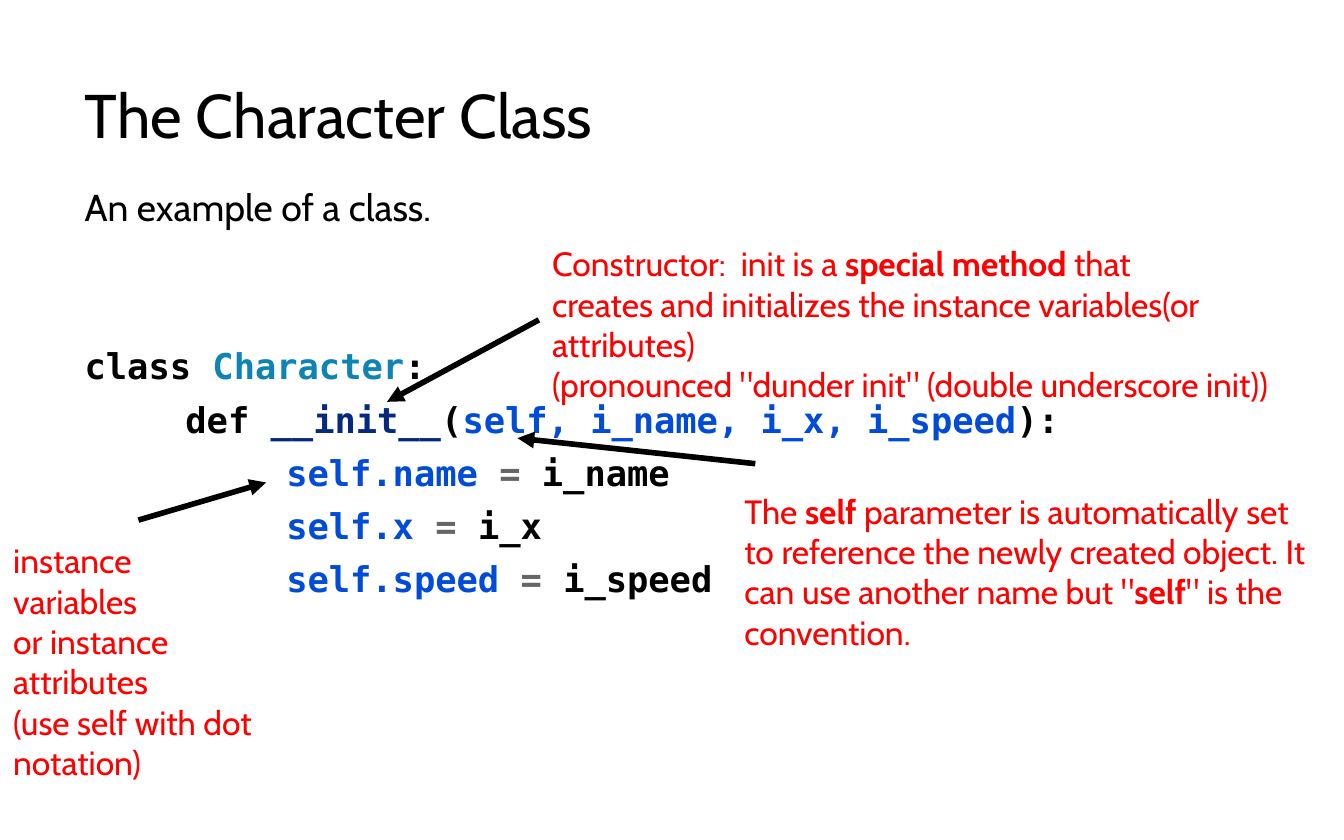
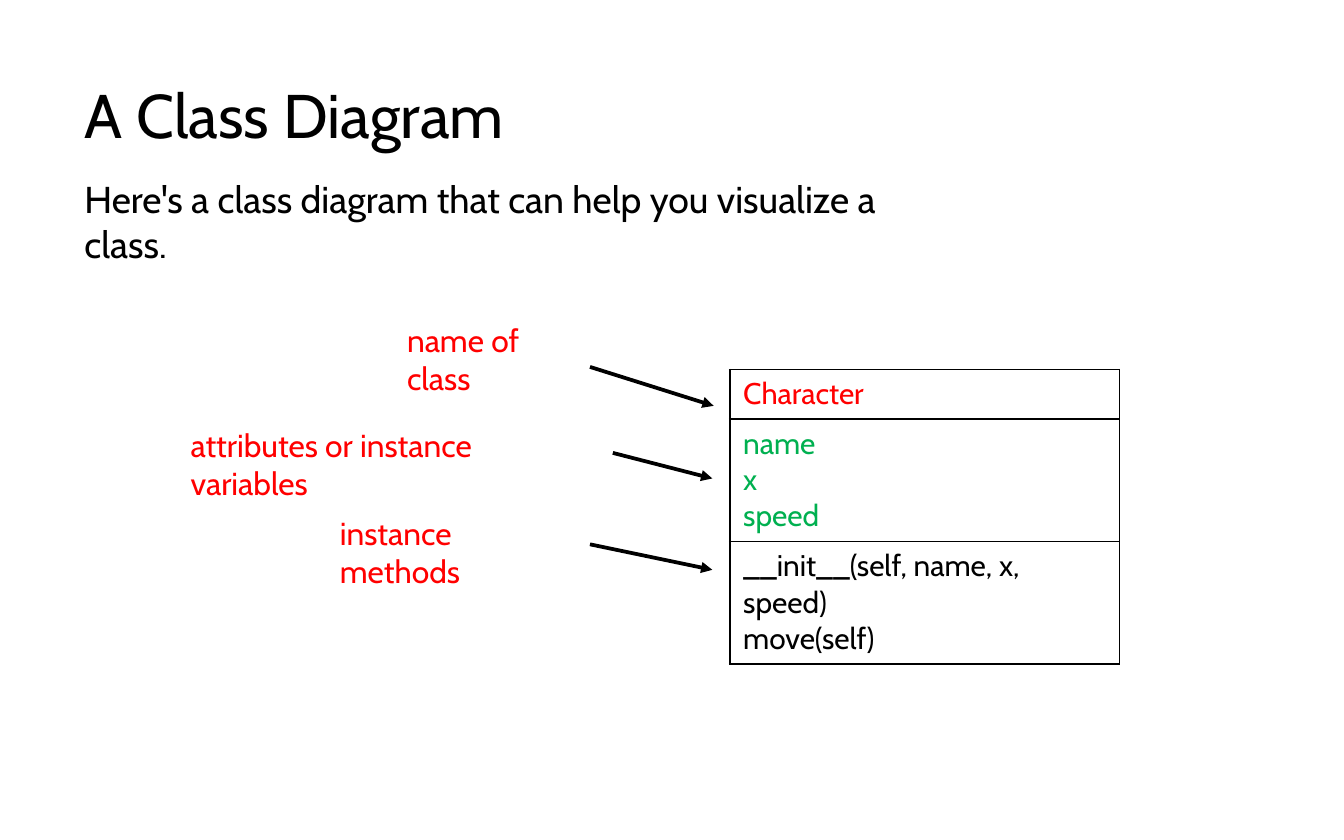
import dataclasses

import lxml.etree
import pptx
import pptx.dml.color
import pptx.enum.shapes
import pptx.enum.text
import pptx.oxml.ns
import pptx.util

# Shared style
COLORS = {
    "text": "000000",
    "note": "FF0000",
    "class_name": "0E84B5",
    "method": "06287E",
    "variable": "004BD7",
    "operator": "666666",
    "attribute": "00B050",
    "paper": "FFFFFF",
}
FONT = "Cabin"
CODE_FONT = "DejaVu Sans Mono"
SLIDE_WIDTH = pptx.util.Inches(10)
SLIDE_HEIGHT = pptx.util.Inches(6.25)
TITLE_AND_BODY, TITLE_ONLY = 1, 5
LINE_SPACING = 0.9
CODE_INDENT = 7.5


@dataclasses.dataclass(frozen=True)
class Area:
    """Left and width in % of the slide's width, top and height in % of its height."""
    left: float
    top: float
    width: float
    height: float


@dataclasses.dataclass(frozen=True)
class Span:
    text: str
    color: str = "text"
    bold: bool = False


@dataclasses.dataclass(frozen=True)
class Note:
    area: Area
    lines: list[list[Span]]


@dataclasses.dataclass(frozen=True)
class Arrow:
    start: tuple[float, float]
    end: tuple[float, float]


@dataclasses.dataclass(frozen=True)
class CodeLine:
    level: int
    spans: list[Span]


@dataclasses.dataclass(frozen=True)
class Compartment:
    height: float
    lines: list[str]
    color: str


def across(percent: float) -> int:
    return round(SLIDE_WIDTH * percent / 100)


def down(percent: float) -> int:
    return round(SLIDE_HEIGHT * percent / 100)


def frame(area: Area) -> tuple[int, int, int, int]:
    return across(area.left), down(area.top), across(area.width), down(area.height)


def rgb(name: str) -> pptx.dml.color.RGBColor:
    return pptx.dml.color.RGBColor.from_string(COLORS[name])


def red(text: str, bold: bool = False) -> Span:
    return Span(text, "note", bold)


def code(text: str, color: str = "text") -> Span:
    return Span(text, color, True)


# Content
TITLE_AREA = Area(5.3, 8.16, 77.1, 12)
BODY_AREA = Area(5.3, 21.76, 88.1, 72.8)
INTRO_AREA = Area(5.3, 20.16, 66.4, 7.04)

CODE_LINES = [
    CodeLine(0, [code("class "), code("Character", "class_name"), code(":")]),
    CodeLine(1, [code("def "), code("__init__", "method"), code("("),
                 code("self, i_name, i_x, i_speed", "variable"), code("):")]),
] + [
    CodeLine(2, [code(f"self.{name} ", "variable"), code("= ", "operator"), code(f"i_{name}")])
    for name in ("name", "x", "speed")
]

CODE_NOTES = [
    Note(Area(40.1, 28.16, 60.7, 16.16), [
        [red("Constructor:  init is a "), red("special method ", True), red("that")],
        [red("creates and initializes the instance variables(or attributes)")],
        [red('(pronounced "dunder init" (double underscore init))')],
    ]),
    Note(Area(0, 63.52, 19.8, 25.92), [
        [red("instance variables")],
        [red("or instance attributes")],
        [red("(use self with dot notation)")],
    ]),
    Note(Area(54.4, 57.6, 46.4, 20.96), [
        [red("The "), red("self ", True), red("parameter is automatically set")],
        [red('to reference the newly created object. It can use another name but "'),
         red("self", True), red('" is the convention.')],
    ]),
]
CODE_ARROWS = [
    Arrow((40.1, 38.08), (28.8, 47.84)),
    Arrow((10.3, 61.92), (19.8, 57.44)),
    Arrow((56.2, 55.2), (38.5, 52.16)),
]

DIAGRAM_AREA = Area(54.3, 44, 29, 35.04)
COMPARTMENTS = [
    Compartment(5.92, ["Character"], "note"),
    Compartment(14.56, ["name", "x", "speed"], "attribute"),
    Compartment(14.56, ["__init__(self, name, x, speed)", "move(self)"], "text"),
]
DIAGRAM_NOTES = [
    Note(Area(29.3, 37.44, 14.9, 6.24), [[red("name of class")]]),
    Note(Area(13.2, 49.92, 31.7, 6.24), [[red("attributes or instance variables")]]),
    Note(Area(24.3, 60.32, 18.9, 6.24), [[red("instance methods")]]),
]
DIAGRAM_ARROWS = [
    Arrow((43.9, 43.68), (53.1, 48.32)),
    Arrow((45.6, 53.92), (53, 56.96)),
    Arrow((43.9, 64.8), (53, 67.84)),
]


# Drawing helpers
def write_spans(paragraph, spans: list[Span], size: float, font: str = FONT) -> None:
    for span in spans:
        run = paragraph.add_run()
        run.text = span.text
        run.font.name = font
        run.font.size = pptx.util.Pt(size)
        run.font.bold = span.bold
        run.font.color.rgb = rgb(span.color)


def write_lines(text_frame, lines: list[list[Span]], size: float) -> None:
    for index, spans in enumerate(lines):
        paragraph = text_frame.add_paragraph() if index else text_frame.paragraphs[0]
        write_spans(paragraph, spans, size)


def place(shape, area: Area) -> None:
    shape.left, shape.top, shape.width, shape.height = frame(area)


def format_body_paragraph(paragraph, space_before: float, level: int = 0) -> None:
    paragraph.line_spacing = LINE_SPACING
    paragraph.space_before = pptx.util.Pt(space_before)
    properties = paragraph._p.get_or_add_pPr()
    properties.set("marL", str(across(CODE_INDENT * level)))
    properties.set("indent", "0")
    lxml.etree.SubElement(properties, pptx.oxml.ns.qn("a:buNone"))


def add_titled_slide(presentation, layout: int, title: str):
    slide = presentation.slides.add_slide(presentation.slide_layouts[layout])
    slide.background.fill.solid()
    slide.background.fill.fore_color.rgb = rgb("paper")
    shape = slide.shapes.title
    place(shape, TITLE_AREA)
    text_frame = shape.text_frame
    text_frame.auto_size = pptx.enum.text.MSO_AUTO_SIZE.NONE
    text_frame.vertical_anchor = pptx.enum.text.MSO_ANCHOR.MIDDLE
    paragraph = text_frame.paragraphs[0]
    paragraph.alignment = pptx.enum.text.PP_ALIGN.LEFT
    paragraph.line_spacing = LINE_SPACING
    write_spans(paragraph, [Span(title)], 33)
    return slide


def add_note(slide, note: Note, size: float) -> None:
    text_frame = slide.shapes.add_textbox(*frame(note.area)).text_frame
    text_frame.word_wrap = True
    text_frame.auto_size = pptx.enum.text.MSO_AUTO_SIZE.SHAPE_TO_FIT_TEXT
    write_lines(text_frame, note.lines, size)


def add_arrow(slide, arrow: Arrow, weight: float) -> None:
    connector = slide.shapes.add_connector(
        pptx.enum.shapes.MSO_CONNECTOR.STRAIGHT,
        across(arrow.start[0]), down(arrow.start[1]),
        across(arrow.end[0]), down(arrow.end[1]))
    connector.line.color.rgb = rgb("text")
    connector.line.width = pptx.util.Pt(weight)
    properties = connector._element.spPr
    line = properties.find(pptx.oxml.ns.qn("a:ln"))
    lxml.etree.SubElement(line, pptx.oxml.ns.qn("a:tailEnd"), type="triangle")
    lxml.etree.SubElement(properties, pptx.oxml.ns.qn("a:effectLst"))


def add_cell_borders(cell) -> None:
    properties = cell._tc.get_or_add_tcPr()
    for side in ("lnL", "lnR", "lnT", "lnB"):
        line = lxml.etree.SubElement(
            properties, pptx.oxml.ns.qn(f"a:{side}"), w=str(pptx.util.Pt(1)))
        fill = lxml.etree.SubElement(line, pptx.oxml.ns.qn("a:solidFill"))
        lxml.etree.SubElement(fill, pptx.oxml.ns.qn("a:srgbClr"), val=COLORS["text"])


def add_class_diagram(slide) -> None:
    table = slide.shapes.add_table(len(COMPARTMENTS), 1, *frame(DIAGRAM_AREA)).table
    table.first_row = False
    table.horz_banding = False
    for row, compartment in zip(table.rows, COMPARTMENTS):
        row.height = down(compartment.height)
        cell = row.cells[0]
        add_cell_borders(cell)
        cell.fill.background()
        lines = [[Span(line, compartment.color)] for line in compartment.lines]
        write_lines(cell.text_frame, lines, 16)


# Slides
def build_code_slide(presentation) -> None:
    slide = add_titled_slide(presentation, TITLE_AND_BODY, "The Character Class")
    body = slide.placeholders[1]
    place(body, BODY_AREA)
    text_frame = body.text_frame
    text_frame.auto_size = pptx.enum.text.MSO_AUTO_SIZE.NONE
    intro = text_frame.paragraphs[0]
    write_spans(intro, [Span("An example of a class.")], 20)
    format_body_paragraph(intro, 7.5)
    for index, line in enumerate(CODE_LINES):
        paragraph = text_frame.add_paragraph()
        write_spans(paragraph, line.spans, 19, CODE_FONT)
        format_body_paragraph(paragraph, 8 if index else 64, line.level)
    for note in CODE_NOTES:
        add_note(slide, note, 18)
    for arrow in CODE_ARROWS:
        add_arrow(slide, arrow, 3)


def build_diagram_slide(presentation) -> None:
    slide = add_titled_slide(presentation, TITLE_ONLY, "A Class Diagram")
    add_class_diagram(slide)
    intro = "Here's a class diagram that can help you visualize a class."
    add_note(slide, Note(INTRO_AREA, [[Span(intro)]]), 20)
    for note, arrow in zip(DIAGRAM_NOTES, DIAGRAM_ARROWS):
        add_note(slide, note, 17)
        add_arrow(slide, arrow, 2)


def main() -> None:
    presentation = pptx.Presentation()
    presentation.slide_width = SLIDE_WIDTH
    presentation.slide_height = SLIDE_HEIGHT
    build_code_slide(presentation)
    build_diagram_slide(presentation)
    presentation.save("out.pptx")


if __name__ == "__main__":
    main()
